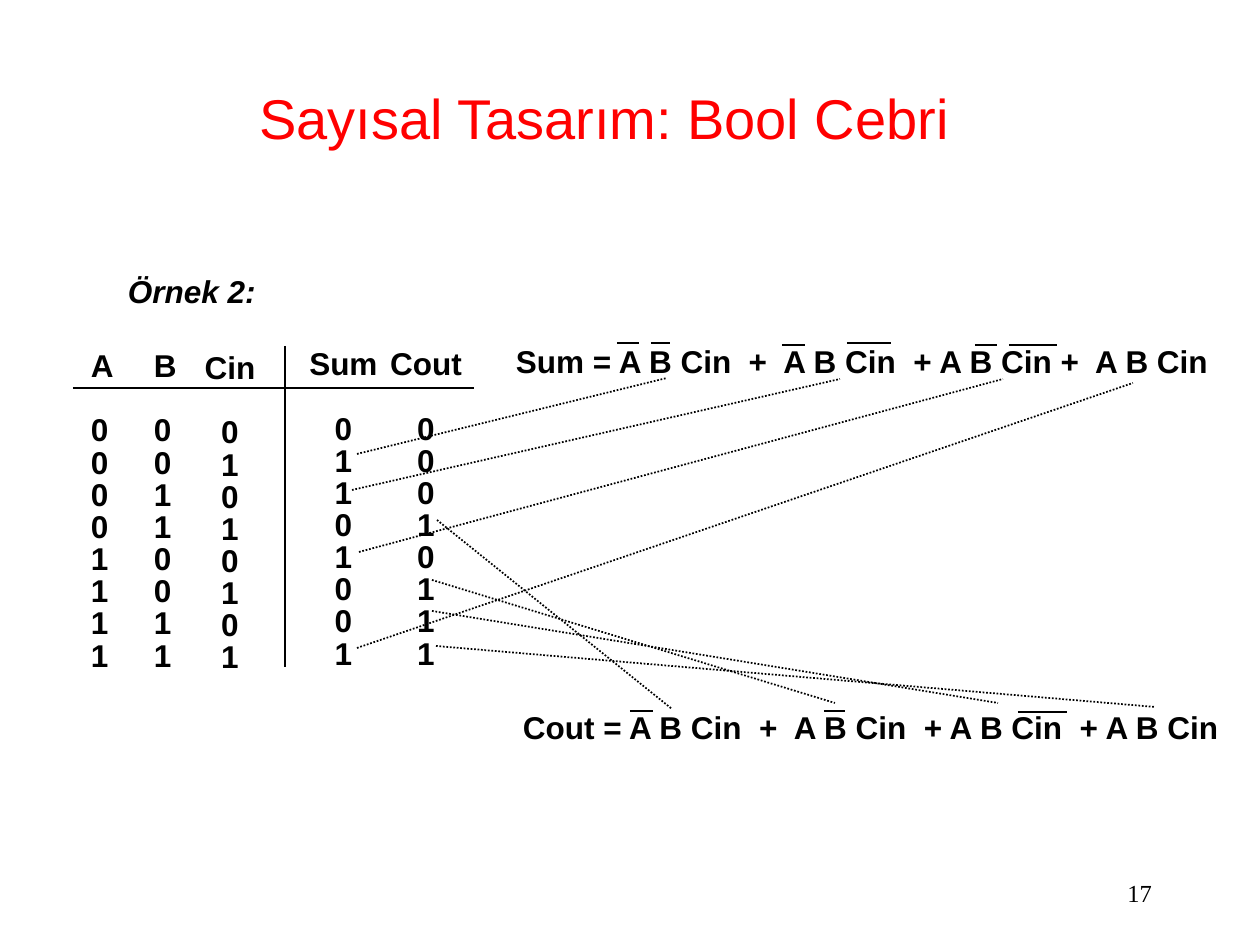
from itertools import product

from lxml import etree
from pptx import Presentation
from pptx.dml.color import RGBColor
from pptx.enum.dml import MSO_LINE
from pptx.enum.shapes import MSO_CONNECTOR
from pptx.enum.text import MSO_ANCHOR, MSO_AUTO_SIZE, PP_ALIGN
from pptx.oxml.ns import qn
from pptx.util import Pt

PX = 914400 // 126
LEFT, CENTER, RIGHT = PP_ALIGN.LEFT, PP_ALIGN.CENTER, PP_ALIGN.RIGHT
TOP, MIDDLE = MSO_ANCHOR.TOP, MSO_ANCHOR.MIDDLE
FIT_SHAPE, FIXED = MSO_AUTO_SIZE.SHAPE_TO_FIT_TEXT, MSO_AUTO_SIZE.NONE
STRAIGHT = MSO_CONNECTOR.STRAIGHT
DOTTED = MSO_LINE.ROUND_DOT
COLORS = {"title": "FF0000", "ink": "000000"}
LABEL = {"name": "Arial", "size": Pt(18), "bold": True}
ROW_GAP = Pt(18.4)

presentation = Presentation()
presentation.slide_width = 1260 * PX
presentation.slide_height = 945 * PX
slide = presentation.slides.add_slide(presentation.slide_layouts[6])


def add_text(box, lines, font, color="ink", align=LEFT, anchor=TOP,
             margins=(9, 4), wrap=False, spacing=0.85):
    """Add one paragraph per line; the second line starts after a row's gap."""
    shape = slide.shapes.add_textbox(*(value * PX for value in box))
    frame = shape.text_frame
    frame.word_wrap = wrap
    frame.auto_size = FIXED if wrap else FIT_SHAPE
    frame.vertical_anchor = anchor
    frame.margin_left = frame.margin_right = margins[0] * PX
    frame.margin_top = frame.margin_bottom = margins[1] * PX
    for index, line in enumerate(lines):
        paragraph = frame.paragraphs[0] if index == 0 else frame.add_paragraph()
        paragraph.alignment = align
        paragraph.line_spacing = spacing
        if index == 1:
            paragraph.space_before = ROW_GAP
        run = paragraph.add_run()
        run.text = line
        for name, value in font.items():
            setattr(run.font, name, value)
        run.font.color.rgb = RGBColor.from_string(COLORS[color])


def add_line(x1, y1, x2, y2, dash=None):
    line = slide.shapes.add_connector(STRAIGHT, x1 * PX, y1 * PX, x2 * PX, y2 * PX)
    line.line.color.rgb = RGBColor.from_string(COLORS["ink"])
    line.line.width = Pt(1)
    if dash is not None:
        line.line.dash_style = dash
    etree.SubElement(line._element.spPr, qn("a:effectLst"))


# Slide number, title and example heading
plain_box = {"anchor": MIDDLE, "margins": (13, 6), "wrap": True, "spacing": 1.0}
add_text((903, 861, 262, 63), ["17"], {"name": "Times New Roman", "size": Pt(14)},
         align=RIGHT, **plain_box)
add_text((192, 95, 825, 45), ["Sayısal Tasarım: Bool Cebri"],
         {"name": "Arial", "size": Pt(32)}, "title", CENTER, **plain_box)
add_text((119, 274, 148, 39), ["Örnek 2:"], {**LABEL, "italic": True})

# Truth table of the full adder, one text box per column
inputs = list(product((0, 1), repeat=3))
a_values, b_values, carry_values = zip(*inputs)
columns = [
    ("A", a_values, 82, 348, 41, LEFT),
    ("B", b_values, 145, 348, 41, LEFT),
    ("Cin", carry_values, 195, 350, 70, CENTER),
    ("Sum", [sum(bits) % 2 for bits in inputs], 299, 346, 89, CENTER),
    ("Cout", [sum(bits) // 2 for bits in inputs], 380, 346, 92, CENTER),
]
for header, values, left, top, width, align in columns:
    add_text((left, top, width, 329), [header, *map(str, values)], LABEL, align=align)
add_line(73, 388, 474, 388)
add_line(285, 346, 285, 667)

# Equations, with a bar over each negated variable
add_text((507, 344, 720, 39), ["Sum = A B Cin  +  A B Cin  + A B Cin +  A B Cin"], LABEL)
add_text((514, 710, 723, 39), ["Cout = A B Cin  +  A B Cin  + A B Cin  + A B Cin"], LABEL)
negation_bars = [
    (617, 639, 343), (651, 670, 343), (782, 805, 345),
    (847, 891, 343), (975, 997, 345), (1009, 1057, 345),
    (630, 653, 711), (824, 845, 711), (1018, 1067, 712),
]
for left, right, y in negation_bars:
    add_line(left, y, right, y)

# Dotted links from each 1 in the table to its product term
term_links = [
    (357, 454, 667, 378), (352, 490, 840, 379),
    (359, 552, 1003, 379), (357, 648, 1133, 383),
    (437, 520, 672, 709), (432, 580, 835, 703),
    (432, 611, 998, 703), (436, 646, 1155, 707),
]
for link in term_links:
    add_line(*link, dash=DOTTED)

presentation.save("out.pptx")
